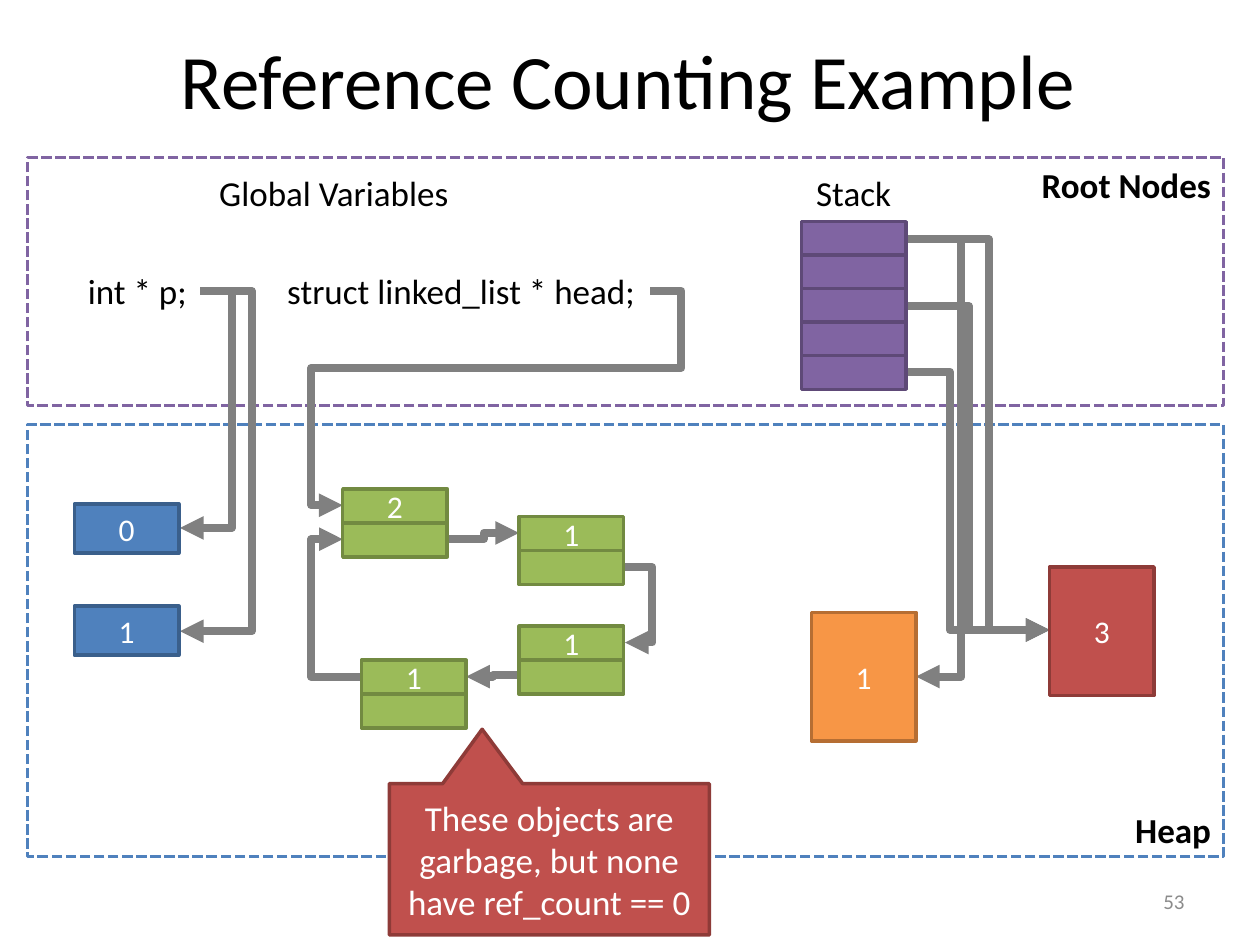
from lxml import etree
from pptx import Presentation
from pptx.dml.color import RGBColor as RGB
from pptx.enum.dml import MSO_LINE as Dash
from pptx.enum.shapes import MSO_CONNECTOR as Conn, MSO_SHAPE as Shape
from pptx.enum.text import MSO_ANCHOR as Anchor, MSO_AUTO_SIZE as Fit, PP_ALIGN as Align
from pptx.oxml.ns import qn
from pptx.util import Inches, Pt

# Each fill has its darker edge
COLORS = {
    "black": "000000", "white": "FFFFFF", "gray": "808080", "number": "8B8B8B",
    "blue": "4F81BD", "blue edge": "3A5F8B",
    "green": "9BBB59", "green edge": "728A41",
    "purple": "8064A2", "purple edge": "5E4977",
    "red": "C0504D", "red edge": "8E3B38",
    "orange": "F79646", "orange edge": "B66E33",
}

prs = Presentation()
prs.slide_width, prs.slide_height = Inches(10), Inches(7.5)
slide = prs.slides.add_slide(prs.slide_layouts[6])
shapes = slide.shapes


def write(shape, text, size, color="black", align=Align.CENTER,
          anchor=Anchor.MIDDLE, bold=False, wrap=True):
    frame = shape.text_frame
    frame.word_wrap = wrap
    frame.vertical_anchor = anchor
    para = frame.paragraphs[0]
    para.text = text
    para.alignment = align
    font = para.font
    font.name, font.size, font.bold = "Calibri", Pt(size), bold
    font.color.rgb = RGB.from_string(COLORS[color])


def add_box(at, color, text="", size=18, kind=Shape.RECTANGLE):
    box = shapes.add_shape(kind, *map(Inches, at))
    box.shadow.inherit = False
    box.fill.solid()
    box.fill.fore_color.rgb = RGB.from_string(COLORS[color])
    box.line.color.rgb = RGB.from_string(COLORS[color + " edge"])
    box.line.width = Pt(2)
    if text:
        write(box, text, size, "white")
    return box


# Title and slide number
title = shapes.add_textbox(Inches(0.05), 0, Inches(9.87), Inches(1.25))
write(title, "Reference Counting Example", 44)
number = shapes.add_textbox(Inches(7.17), Inches(6.95), Inches(2.33), Inches(0.4))
write(number, "53", 12, "number", Align.RIGHT)

# Dashed regions
for name, top, height, color, anchor in [
    ("Root Nodes", 1.25, 1.97, "purple", Anchor.TOP),
    ("Heap", 3.37, 3.43, "blue", Anchor.BOTTOM),
]:
    area = shapes.add_shape(Shape.RECTANGLE, Inches(0.22), Inches(top),
                            Inches(9.49), Inches(height))
    area.shadow.inherit = False
    area.fill.background()
    area.line.color.rgb = RGB.from_string(COLORS[color])
    area.line.width = Pt(2)
    area.line.dash_style = Dash.SQUARE_DOT
    write(area, name, 20, align=Align.RIGHT, anchor=anchor, bold=True)

# Labels, each grown to fit one line
for text, left, top, width in [
    ("Stack", 6.37, 1.31, 0.81),
    ("Global Variables", 1.63, 1.31, 2.04),
    ("int * p;", 0.59, 2.09, 1),
    ("struct linked_list * head;", 2.17, 2.09, 2.98),
]:
    label = shapes.add_textbox(Inches(left), Inches(top), Inches(width), Inches(0.43))
    write(label, text, 20, anchor=Anchor.TOP, wrap=False)
    label.text_frame.auto_size = Fit.SHAPE_TO_FIT_TEXT

# Pointers: start, end, then the x (and y, x) where the line turns
for x1, y1, x2, y2, *turns in [
    (7.2, 1.9, 8.33, 5, 7.85),
    (7.2, 2.43, 8.33, 5, 7.69),
    (7.2, 2.95, 8.33, 5, 7.54),
    (7.2, 1.9, 7.27, 5.37, 7.63),
    (1.59, 2.31, 1.43, 4.19, 1.84),
    (1.59, 2.31, 1.43, 5.01, 2),
    (5.16, 2.31, 2.72, 4.01, 5.41, 2.92, 2.47),
    (3.56, 4.28, 4.12, 4.23, 3.84),
    (4.95, 4.5, 4.96, 5.1, 5.18),
    (4.12, 5.36, 3.7, 5.37, 3.91),
    (2.87, 5.37, 2.72, 4.28, 2.47),
]:
    wire = shapes.add_connector(Conn.ELBOW, *map(Inches, (x1, y1, x2, y2)))
    wire.line.color.rgb = RGB.from_string(COLORS["gray"])
    wire.line.width = Pt(4.5)
    props = wire.line._get_or_add_ln()
    etree.SubElement(props, qn("a:tailEnd"), type="triangle")
    etree.SubElement(wire._element.spPr, qn("a:effectLst"))
    geom = wire._element.spPr.find(qn("a:prstGeom"))
    geom.set("prst", f"bentConnector{len(turns) + 2}")
    guides = geom.find(qn("a:avLst"))
    if guides is None:
        guides = etree.SubElement(geom, qn("a:avLst"))
    for i, turn in enumerate(turns):
        start, end = (y1, y2) if i % 2 else (x1, x2)
        share = round((turn - start) / (end - start) * 100000)
        etree.SubElement(guides, qn("a:gd"), name=f"adj{i + 1}", fmla=f"val {share}")

# Stack cells
WIDE, CELL = 0.83, 0.27
for i in range(5):
    add_box((6.36, 1.76 + i * 0.265, WIDE, CELL), "purple")

# List nodes: count above, next pointer below
for left, top, count in [(2.72, 3.88, "2"), (4.12, 4.1, "1"),
                         (4.12, 4.97, "1"), (2.87, 5.24, "1")]:
    add_box((left, top + CELL, WIDE, CELL), "green")
    add_box((left, top, WIDE, CELL), "green", count)

# Other heap objects
for left, top, height, color, count in [
    (0.59, 4, 0.39, "blue", "0"),
    (0.59, 4.81, 0.39, "blue", "1"),
    (8.33, 4.5, 1.02, "red", "3"),
    (6.44, 4.86, 1.02, "orange", "1"),
]:
    add_box((left, top, WIDE, height), color, count)

# Callout
note = add_box((3.09, 6.22, 2.54, 1.2), "red",
               "These objects are garbage, but none have ref_count == 0",
               20, Shape.RECTANGULAR_CALLOUT)
note.adjustments[0] = -0.21
note.adjustments[1] = -0.86

prs.save("out.pptx")
